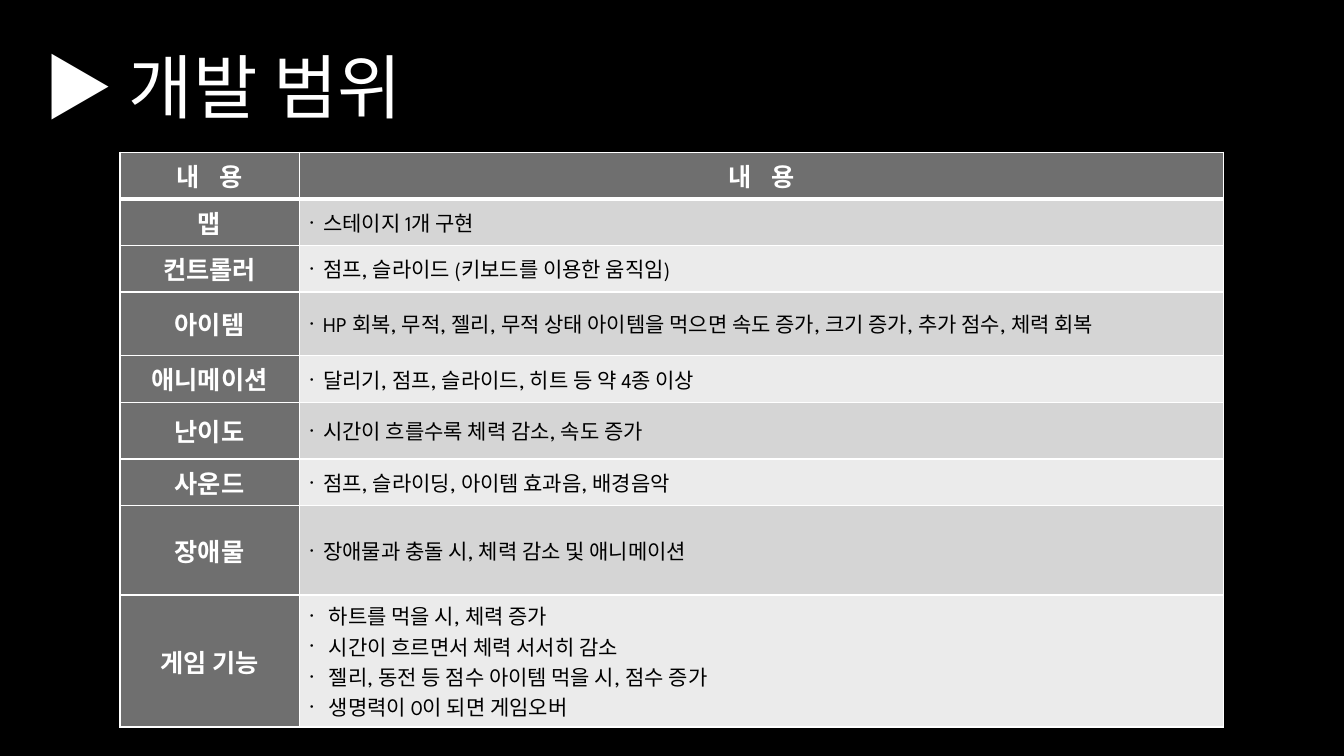
"""Build the development scope slide."""
from dataclasses import dataclass

from lxml.etree import SubElement
from pptx import Presentation
from pptx.dml.color import RGBColor
from pptx.enum.text import MSO_ANCHOR, PP_ALIGN
from pptx.oxml.ns import qn
from pptx.slide import Slide
from pptx.table import Table, _Cell
from pptx.text.text import _Paragraph, _Run
from pptx.util import Pt


@dataclass(frozen=True)
class Theme:
    """Colours, font and type sizes."""
    font: str = "League Spartan"
    background: str = "000000"
    light: str = "FFFFFF"
    title_end: str = "A6A6A6"
    dark: str = "000000"
    header: str = "6F6F6F"
    bands: tuple[str, str] = ("D5D5D5", "EBEBEB")
    title_size: float = 50
    label_size: float = 18
    body_size: float = 15


@dataclass(frozen=True)
class ScopeRow:
    """One area of the development scope."""
    label: str
    height: float
    items: tuple[str, ...]
    indent: float = 10


THEME = Theme()
HEADER_HEIGHT = 33.3
COLUMN_WIDTHS = (128, 660.3)
ROWS = (
    ScopeRow("맵", 33.3, ("스테이지 1개 구현",)),
    ScopeRow("컨트롤러", 33.3, ("점프, 슬라이드 (키보드를 이용한 움직임)",)),
    ScopeRow("아이템", 45.5, ("HP 회복, 무적, 젤리, 무적 상태 아이템을 먹으면 속도 증가, "
                            "크기 증가, 추가 점수, 체력 회복",)),
    ScopeRow("애니메이션", 33.3, ("달리기, 점프, 슬라이드, 히트 등 약 4종 이상",)),
    ScopeRow("난이도", 40.5, ("시간이 흐를수록 체력 감소, 속도 증가",)),
    ScopeRow("사운드", 33.3, ("점프, 슬라이딩, 아이템 효과음, 배경음악",)),
    ScopeRow("장애물", 64, ("장애물과 충돌 시, 체력 감소 및 애니메이션",)),
    ScopeRow("게임 기능", 94.2, ("하트를 먹을 시, 체력 증가",
                              "시간이 흐르면서 체력 서서히 감소",
                              "젤리, 동전 등 점수 아이템 먹을 시, 점수 증가",
                              "생명력이 0이 되면 게임오버"), 14),
)


def color(value: str) -> RGBColor:
    """Return the colour for a hexadecimal value."""
    return RGBColor.from_string(value)


def add_run(paragraph: _Paragraph, text: str, size: float, ink: str, bold: bool = False) -> _Run:
    """Append one formatted run."""
    run = paragraph.add_run()
    run.text = text
    run.font.size = Pt(size)
    run.font.bold = bold
    run.font.color.rgb = color(ink)
    run.font.name = THEME.font
    return run


def add_title(slide: Slide) -> None:
    """Add the gradient title."""
    shape = slide.shapes.add_textbox(Pt(23.8), Pt(20.9), Pt(313.2), Pt(87.8))
    frame = shape.text_frame
    frame.word_wrap = True
    frame.vertical_anchor = MSO_ANCHOR.MIDDLE
    paragraph = frame.paragraphs[0]
    paragraph.line_spacing = 0.9
    run = add_run(paragraph, "▶ 개발 범위", THEME.title_size, THEME.light)
    fill = run.font.fill
    fill.gradient()
    fill.gradient_angle = 267
    for stop, ink in zip(fill.gradient_stops, (THEME.light, THEME.title_end)):
        stop.color.rgb = color(ink)


def style_cell(cell: _Cell, fill: str, bottom: float = 1, top: float = 1) -> None:
    """Set the borders, fill and anchor of a cell."""
    properties = cell._tc.get_or_add_tcPr()
    for side, width in (("L", 1), ("R", 1), ("T", top), ("B", bottom)):
        line = SubElement(properties, qn(f"a:ln{side}"), w=str(Pt(width)))
        solid = SubElement(line, qn("a:solidFill"))
        SubElement(solid, qn("a:srgbClr"), val=THEME.light)
    cell.fill.solid()
    cell.fill.fore_color.rgb = color(fill)
    cell.vertical_anchor = MSO_ANCHOR.MIDDLE


def fill_label(cell: _Cell, text: str) -> None:
    """Write a centred bold label."""
    paragraph = cell.text_frame.paragraphs[0]
    paragraph.alignment = PP_ALIGN.CENTER
    add_run(paragraph, text, THEME.label_size, THEME.light, True)


def fill_header(cell: _Cell) -> None:
    """Write a heading with a widened word gap."""
    fill_label(cell, "내")
    paragraph = cell.text_frame.paragraphs[0]
    gap = add_run(paragraph, " ", THEME.label_size, THEME.light, True)
    gap.font._element.set("spc", "1000")
    add_run(paragraph, "용", THEME.label_size, THEME.light, True)


def fill_items(cell: _Cell, row: ScopeRow) -> None:
    """Write the bulleted items of a row."""
    frame = cell.text_frame
    for index, item in enumerate(row.items):
        paragraph = frame.add_paragraph() if index else frame.paragraphs[0]
        properties = paragraph._p.get_or_add_pPr()
        properties.set("marL", str(Pt(row.indent)))
        properties.set("indent", str(-Pt(row.indent)))
        SubElement(properties, qn("a:buFont"), typeface=THEME.font)
        SubElement(properties, qn("a:buChar"), char="·")
        add_run(paragraph, item, THEME.body_size, THEME.dark)


def add_scope_table(slide: Slide) -> None:
    """Add the table of scope areas."""
    heights = (HEADER_HEIGHT, *(row.height for row in ROWS))
    shape = slide.shapes.add_table(len(heights), len(COLUMN_WIDTHS), Pt(85.7), Pt(108.7),
                                   Pt(sum(COLUMN_WIDTHS)), Pt(sum(heights)))
    table: Table = shape.table
    table.horz_banding = False
    for column, width in zip(table.columns, COLUMN_WIDTHS):
        column.width = Pt(width)
    for table_row, height in zip(table.rows, heights):
        table_row.height = Pt(height)
    for cell in table.rows[0].cells:
        style_cell(cell, THEME.header, bottom=3)
        fill_header(cell)
    for index, row in enumerate(ROWS):
        label, body = table.rows[index + 1].cells
        top = 1 if index else 3
        style_cell(label, THEME.header, top=top)
        fill_label(label, row.label)
        style_cell(body, THEME.bands[index % 2], top=top)
        fill_items(body, row)


def main() -> None:
    """Create and save the presentation."""
    presentation = Presentation()
    presentation.slide_width = Pt(960)
    presentation.slide_height = Pt(540)
    slide = presentation.slides.add_slide(presentation.slide_layouts[6])
    slide.background.fill.solid()
    slide.background.fill.fore_color.rgb = color(THEME.background)
    add_title(slide)
    add_scope_table(slide)
    presentation.save("out.pptx")


if __name__ == "__main__":
    main()
